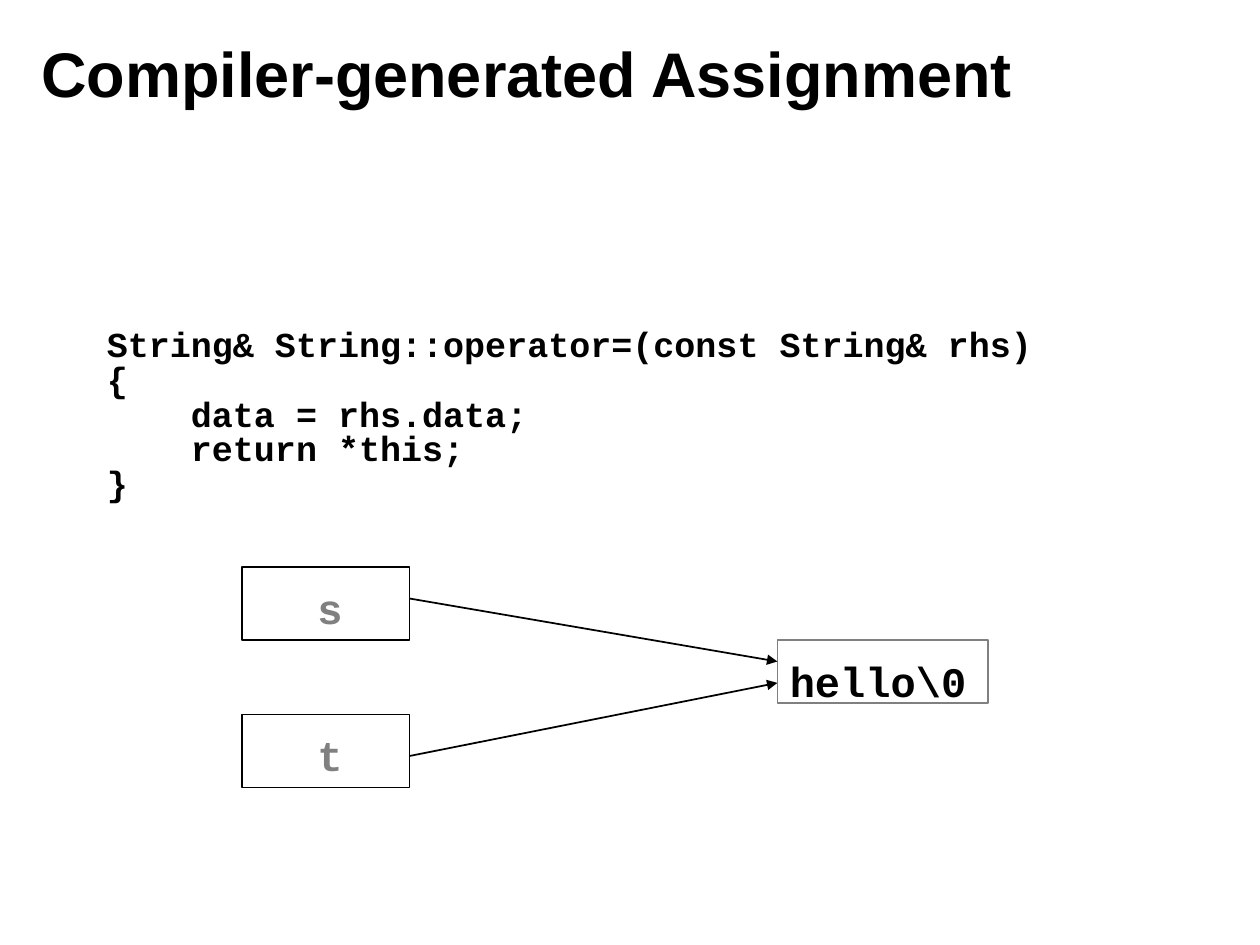
from typing import NamedTuple

from lxml import etree
from pptx import Presentation, util as u
from pptx.dml.color import RGBColor
from pptx.enum import shapes, text
from pptx.oxml import ns

BLACK, GRAY = "000000", "808080"
CODE_FONT = "Courier New"
CODE = """String& String::operator=(const String& rhs)
{
    data = rhs.data;
    return *this;
}"""


class Box(NamedTuple):
    left: float
    top: float
    width: float
    height: float


class Pointer(NamedTuple):
    name: str
    box_top: float
    arrow_start: float
    arrow_end: float


POINTERS = [Pointer("s", 4.5, 4.75, 5.25), Pointer("t", 5.67, 6, 5.42)]
TARGET = Box(6.17, 5.08, 1.67, 0.5)


def color(value: str) -> RGBColor:
    return RGBColor.from_string(value)


def inches(box: Box) -> list:
    return [u.Inches(length) for length in box]


def write(shape, content: str, size: float, font: str = CODE_FONT, ink: str = BLACK,
          inset_top: float = 0.12, spacing=1.0, anchor=text.MSO_ANCHOR.TOP) -> None:
    """Fill a shape with bold left-aligned lines, one paragraph each."""
    frame = shape.text_frame
    frame.word_wrap = True
    frame.vertical_anchor = anchor
    frame.margin_top = u.Inches(inset_top)
    frame.text = content
    for paragraph in frame.paragraphs:
        paragraph.alignment = text.PP_ALIGN.LEFT
        paragraph.line_spacing = spacing
        paragraph.font.name = font
        paragraph.font.size = u.Pt(size)
        paragraph.font.bold = True
        paragraph.font.color.rgb = color(ink)


def add_rectangle(slide, box: Box, line: str):
    rectangle = slide.shapes.add_shape(shapes.MSO_SHAPE.RECTANGLE, *inches(box))
    rectangle.shadow.inherit = False
    rectangle.fill.background()
    rectangle.line.color.rgb = color(line)
    rectangle.line.width = u.Pt(1)
    return rectangle


def add_arrow(slide, start: tuple[float, float], end: tuple[float, float]) -> None:
    arrow = slide.shapes.add_connector(
        shapes.MSO_CONNECTOR.STRAIGHT, *[u.Inches(length) for length in start + end])
    arrow.line.color.rgb = color(BLACK)
    arrow.line.width = u.Pt(1)
    etree.SubElement(arrow.line._get_or_add_ln(), ns.qn("a:tailEnd"), type="triangle")
    etree.SubElement(arrow._element.spPr, ns.qn("a:effectLst"))


def add_pointer(slide, pointer: Pointer) -> None:
    box = Box(1.92, pointer.box_top, 1.33, 0.58)
    add_rectangle(slide, box, BLACK)
    label = slide.shapes.add_textbox(*inches(Box(2.42, pointer.box_top, 0.42, 0.5)))
    write(label, pointer.name, 24, ink=GRAY)
    add_arrow(slide, (box.left + box.width, pointer.arrow_start),
              (TARGET.left, pointer.arrow_end))


def main() -> None:
    presentation = Presentation()
    presentation.slide_width = u.Inches(10)
    presentation.slide_height = u.Inches(7.5)
    slide = presentation.slides.add_slide(presentation.slide_layouts[6])

    title = slide.shapes.add_textbox(*inches(Box(0.23, 0.15, 8.03, 0.93)))
    write(title, "Compiler-generated Assignment", 36, font="Arial", inset_top=0.05,
          spacing=0.9, anchor=text.MSO_ANCHOR.MIDDLE)

    code = slide.shapes.add_textbox(*inches(Box(0.75, 2.17, 8.67, 1.8)))
    write(code, CODE, 20, inset_top=0.45, spacing=u.Pt(19.8))

    write(add_rectangle(slide, TARGET, GRAY), "hello\\0", 24)
    for pointer in POINTERS:
        add_pointer(slide, pointer)

    presentation.save("out.pptx")


if __name__ == "__main__":
    main()
